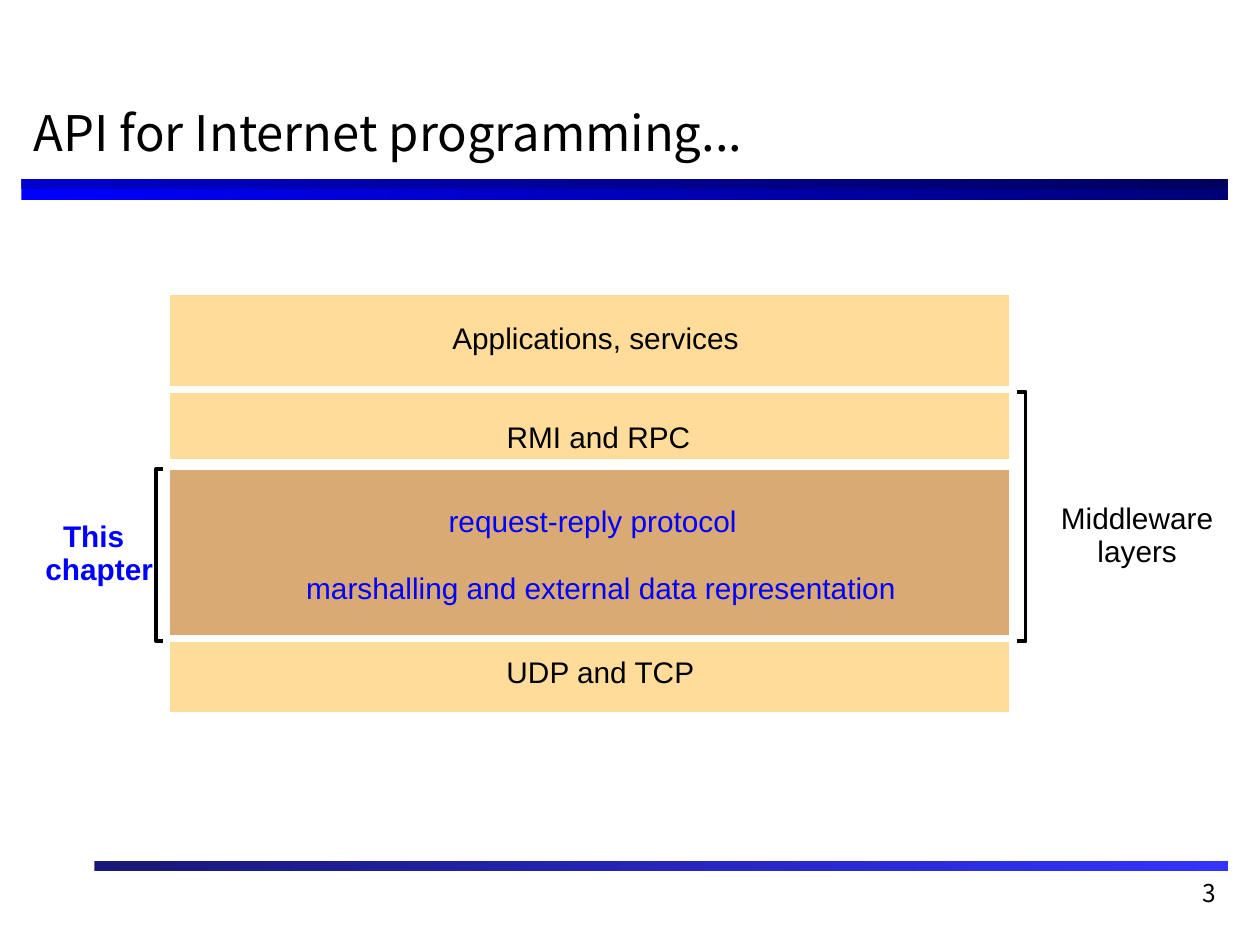
from pptx import Presentation
from pptx.dml.color import RGBColor
from pptx.enum.shapes import MSO_SHAPE
from pptx.enum.text import MSO_ANCHOR, PP_ALIGN
from pptx.util import Inches, Pt

RECTANGLE = MSO_SHAPE.RECTANGLE
LEFT, RIGHT = PP_ALIGN.LEFT, PP_ALIGN.RIGHT
TOP, MIDDLE = MSO_ANCHOR.TOP, MSO_ANCHOR.MIDDLE

BLACK, BLUE, WHITE = "000000", "0000FF", "FFFFFF"
SAND, BROWN = "FFDC99", "D9AA73"
HEADING_FONT, LABEL_FONT = "Noto Sans CJK KR", "Arial"
LAYER_LEFT, LAYER_WIDTH = 1.32, 6.72
LABEL_HEIGHT = 0.28
LABEL_SLACK = 0.06  # spare width that keeps each label on one line

# left, top, width, height, start colour, end colour
RULES = [
    (0.17, 1.42, 9.58, 0.17, BLUE, "000076"),
    (0.75, 6.83, 9, 0.08, "181876", "3333FF"),
    (0.17, 1.42, 9.58, 0.08, "0000CC", "00005E"),
]
# Frames whose outer edge stays visible beside the layers as a bracket
BRACKETS = [(1.24, 3.72, 0.35, 1.37), (7.79, 3.11, 0.35, 1.98)]
# top, height, fill; the first one spans the whole stack
LAYERS = [(2.31, 3.37, SAND), (3.7, 1.37, BROWN), (3.09, 0.58, SAND)]
# text, left, top, width, colour, bold
LABELS = [
    ("Applications, services", 3.59, 2.54, 2.28, BLACK, False),
    ("RMI and RPC", 4.02, 3.32, 1.46, BLACK, False),
    ("request-reply protocol", 3.56, 3.99, 2.29, BLUE, False),
    ("marshalling and external data representation", 2.43, 4.52, 4.68, BLUE, False),
    ("UDP and TCP", 4.02, 5.19, 1.5, BLACK, False),
    ("Middleware", 8.42, 3.97, 1.21, BLACK, False),
    ("layers", 8.71, 4.23, 0.63, BLACK, False),
    ("This", 0.5, 4.11, 0.49, BLUE, True),
    ("chapter", 0.36, 4.37, 0.86, BLUE, True),
]


def color(hex_string):
    return RGBColor.from_string(hex_string)


def add_rectangle(page, left, top, width, height, fill=None, line=None, line_width=0):
    """Add a rectangle; fill is None, one colour or a pair for a gradient."""
    box = page.shapes.add_shape(
        RECTANGLE, Inches(left), Inches(top), Inches(width), Inches(height))
    box.shadow.inherit = False
    if fill is None:
        box.fill.background()
    elif isinstance(fill, tuple):
        box.fill.gradient()
        box.fill.gradient_angle = 0
        for stop, stop_color in zip(box.fill.gradient_stops, fill):
            stop.color.rgb = color(stop_color)
    else:
        box.fill.solid()
        box.fill.fore_color.rgb = color(fill)
    if line:
        box.line.color.rgb = color(line)
        box.line.width = Pt(line_width)
    else:
        box.line.fill.background()


def add_text(page, text, left, top, width, height, size, font,
             text_color=BLACK, bold=False, align=LEFT, anchor=TOP):
    box = page.shapes.add_textbox(
        Inches(left), Inches(top), Inches(width), Inches(height))
    frame = box.text_frame
    frame.word_wrap = True
    frame.vertical_anchor = anchor
    frame.text = text
    para = frame.paragraphs[0]
    para.alignment = align
    span = para.runs[0]
    span.font.name = font
    span.font.size = Pt(size)
    span.font.bold = bold
    span.font.color.rgb = color(text_color)
    return frame


def add_label(page, text, left, top, width, text_color, bold):
    """Add a one-line label without margins."""
    frame = add_text(page, text, left, top, width + LABEL_SLACK, LABEL_HEIGHT,
                     17, LABEL_FONT, text_color, bold)
    frame.margin_left = frame.margin_right = 0
    frame.margin_top = frame.margin_bottom = 0


def main():
    deck = Presentation()
    deck.slide_width, deck.slide_height = Inches(10), Inches(7.5)
    page = deck.slides.add_slide(deck.slide_layouts[6])

    for left, top, width, height, start, end in RULES:
        add_rectangle(page, left, top, width, height, fill=(start, end))
    add_text(page, "3", 7.67, 6.92, 2.08, 0.5, 14, HEADING_FONT, align=RIGHT)
    add_text(page, "API for Internet programming...", 0.17, 0.67, 9.58, 0.75,
             28, HEADING_FONT, anchor=MIDDLE)

    for bracket in BRACKETS:
        add_rectangle(page, *bracket, line=BLACK, line_width=2.13)
    for top, height, fill in LAYERS:
        add_rectangle(page, LAYER_LEFT, top, LAYER_WIDTH, height, fill, WHITE, 4.25)
    for label in LABELS:
        add_label(page, *label)

    deck.save("out.pptx")


if __name__ == "__main__":
    main()
